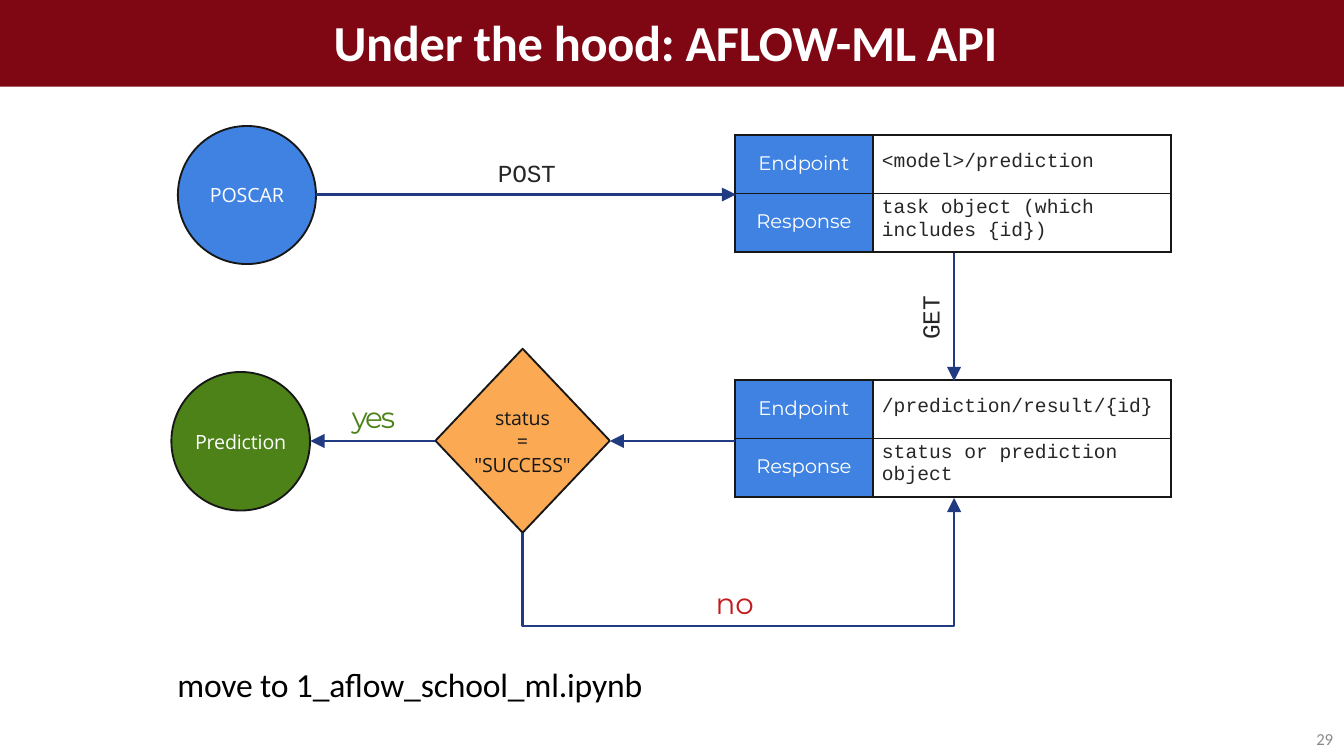
from dataclasses import dataclass
from typing import Any, NamedTuple

from lxml import etree
from pptx import Presentation, util as u
from pptx.dml.color import RGBColor
from pptx.enum import shapes as s, text as t
from pptx.oxml.ns import qn


class Style(NamedTuple):
    size: float
    face: str
    color: str
    bold: bool = False
    gap: float = -0.1


@dataclass(frozen=True)
class Theme:
    banner: str = "7F0613"
    blue: str = "3F82E1"
    green: str = "4C8218"
    orange: str = "FBA953"
    edge: str = "181717"
    arrow: str = "213B83"
    rim: float = 1.32
    shaft: float = 2
    outer: float = 1.5
    inner: float = 1
    title: Style = Style(36, "Calibri", "FFFFFF", True, -0.2)
    node: Style = Style(14, "Open Sans", "FFFFFF")
    test: Style = Style(14, "Open Sans", "181717")
    head: Style = Style(14, "Montserrat", "FFFFFF")
    code: Style = Style(14, "Courier New", "262626", gap=0)
    verb: Style = Style(17.5, "Courier New", "262626", gap=-0.2)
    yes: Style = Style(21, "Montserrat", "4C8218", gap=-1.5)
    no: Style = Style(21, "Montserrat", "C21A1D", gap=-0.2)
    note: Style = Style(24, "Calibri", "000000")
    page: Style = Style(12, "Calibri", "898989", gap=-0.2)


class Box(NamedTuple):
    col: float
    row: float
    wide: float
    high: float


class Node(NamedTuple):
    kind: Any
    box: Box
    fill: str
    lines: list[str]
    style: Style


class Label(NamedTuple):
    words: str
    box: Box
    style: Style
    turn: str = "horz"


class Call(NamedTuple):
    row: float
    point: str
    reply: str


T = Theme()
COLS, ROWS = 133.33, 75
CELL = u.Inches(0.1)
LEFT, SPLIT, ROW = 72.9, (13.7, 29.6), 5.8
TRACK = 94.65
MID = 43.75

NODES = [
    Node(s.MSO_SHAPE.OVAL, Box(17.65, 12.5, 13.7, 13.7), T.blue, ["POSCAR"], T.node),
    Node(s.MSO_SHAPE.OVAL, Box(17, 36.9, 13.75, 13.75), T.green, ["Prediction"], T.node),
    Node(s.MSO_SHAPE.DIAMOND, Box(43.2, 34.6, 17.3, 18.25), T.orange,
         ["status", "=", '"SUCCESS"'], T.test),
]
CALLS = [
    Call(13.4, "<model>/prediction", "task object (which includes {id})"),
    Call(37.7, "/prediction/result/{id}", "status or prediction object"),
]
ARROWS = [
    [(31.35, 19.3), (73, 19.3)],
    [(TRACK, 25.1), (TRACK, 37.8)],
    [(LEFT, MID), (60.5, MID)],
    [(43.2, MID), (30.8, MID)],
    [(51.85, 52.85), (51.85, 62.1), (TRACK, 62.1), (TRACK, 49.4)],
]
LABELS = [
    Label("Under the hood: AFLOW-ML API", Box(33.1, 0.9, 80, 6.3), T.title),
    Label("POST", Box(49.4, 15.5, 7, 3.2), T.verb),
    Label("GET", Box(90.8, 29, 3.7, 4.7), T.verb, "vert270"),
    Label("yes", Box(34.9, 39.4, 5.5, 3.8), T.yes),
    Label("no", Box(71, 57.8, 5, 3.8), T.no),
    Label("move to 1_aflow_school_ml.ipynb", Box(17.6, 65.7, 57, 4.3), T.note),
    Label("29", Box(130.6, 72.1, 2.7, 2.3), T.page),
]


def cell(n: float) -> int:
    return round(n * CELL)


def put(item: Any, **vals: Any) -> None:
    for name, val in vals.items():
        setattr(item, name, val)


def tint(fill: Any, color: str) -> None:
    fill.solid()
    fill.fore_color.rgb = RGBColor.from_string(color)


def write(frame: Any, lines: list[str], style: Style, align: Any) -> None:
    for i, words in enumerate(lines):
        para = frame.add_paragraph() if i else frame.paragraphs[0]
        para.alignment = align
        run = para.add_run()
        run.text = words
        put(run.font, size=u.Pt(style.size), name=style.face, bold=style.bold)
        tint(run.font.fill, style.color)
        run.font._element.set("spc", str(round(style.gap * 100)))


def shape(slide: Any, kind: Any, box: Box, fill: str) -> Any:
    item = slide.shapes.add_shape(kind, *map(cell, box))
    item.shadow.inherit = False
    tint(item.fill, fill)
    item.line.fill.background()
    return item


def node(slide: Any, spec: Node) -> None:
    item = shape(slide, spec.kind, spec.box, spec.fill)
    tint(item.line.fill, T.edge)
    item.line.width = u.Pt(T.rim)
    put(item.text_frame, word_wrap=False, vertical_anchor=t.MSO_ANCHOR.MIDDLE,
        margin_left=0, margin_right=0, margin_top=0, margin_bottom=0)
    write(item.text_frame, spec.lines, spec.style, t.PP_ALIGN.CENTER)


def label(slide: Any, spec: Label) -> None:
    frame = slide.shapes.add_textbox(*map(cell, spec.box)).text_frame
    put(frame, word_wrap=True, margin_left=0, margin_right=0,
        margin_top=cell(0.2), margin_bottom=0)
    frame._txBody.bodyPr.set("vert", spec.turn)
    write(frame, [spec.words], spec.style, t.PP_ALIGN.LEFT)


def border(item: Any, sides: dict[str, float]) -> None:
    props = item._tc.get_or_add_tcPr()
    for i, (side, width) in enumerate(sides.items()):
        line = etree.Element(qn(f"a:ln{side}"), w=str(u.Pt(width)))
        fill = etree.SubElement(line, qn("a:solidFill"))
        etree.SubElement(fill, qn("a:srgbClr"), val=T.edge)
        props.insert(i, line)


def call(slide: Any, spec: Call) -> None:
    box = Box(LEFT, spec.row, sum(SPLIT), 2 * ROW)
    table = slide.shapes.add_table(2, 2, *map(cell, box)).table
    put(table, first_row=False, horz_banding=False)
    for i, wide in enumerate(SPLIT):
        table.columns[i].width = cell(wide)
        table.rows[i].height = cell(ROW)
    grid = [["Endpoint", spec.point], ["Response", spec.reply]]
    for r, line in enumerate(grid):
        for c, words in enumerate(line):
            item = table.cell(r, c)
            top = 0.4 if r and c else 1.6
            put(item, margin_left=cell(0.9 * c), margin_right=0,
                margin_top=cell(top), margin_bottom=0)
            if c:
                item.fill.background()
                write(item.text_frame, [words], T.code, t.PP_ALIGN.LEFT)
            else:
                tint(item.fill, T.blue)
                write(item.text_frame, [words], T.head, t.PP_ALIGN.CENTER)
            border(item, {"L": T.inner if c else T.outer,
                          "R": T.outer if c else T.inner,
                          "T": T.inner if r else T.outer,
                          "B": T.outer if r else T.inner})


def arrow(slide: Any, stops: list[tuple[float, float]]) -> None:
    spots = [(cell(x), cell(y)) for x, y in stops]
    if len(spots) == 2:
        item = slide.shapes.add_connector(s.MSO_CONNECTOR.STRAIGHT, *spots[0], *spots[1])
    else:
        build = slide.shapes.build_freeform(*spots[0])
        build.add_line_segments(spots[1:], close=False)
        item = build.convert_to_shape()
        item.fill.background()
    tint(item.line.fill, T.arrow)
    item.line.width = u.Pt(T.shaft)
    props = item._element.spPr
    etree.SubElement(props.find(qn("a:ln")), qn("a:tailEnd"),
                     type="triangle", w="lg", len="lg")
    etree.SubElement(props, qn("a:effectLst"))


def main() -> None:
    deck = Presentation()
    put(deck, slide_width=cell(COLS), slide_height=cell(ROWS))
    slide = deck.slides.add_slide(deck.slide_layouts[6])
    shape(slide, s.MSO_SHAPE.RECTANGLE, Box(0, 0, COLS, 8.6), T.banner)
    for draw, specs in ((node, NODES), (call, CALLS), (arrow, ARROWS), (label, LABELS)):
        for spec in specs:
            draw(slide, spec)
    deck.save("out.pptx")


if __name__ == "__main__":
    main()
